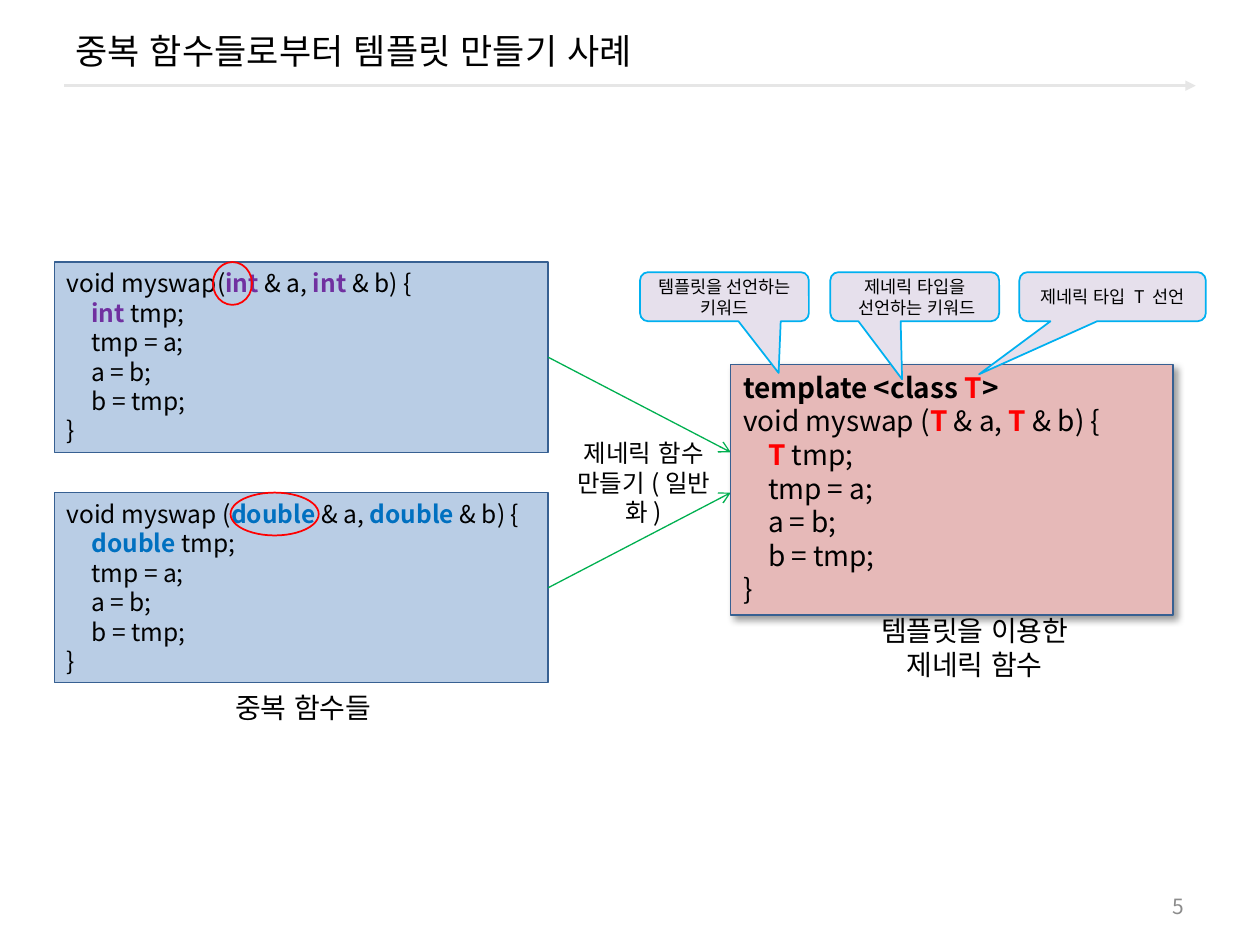
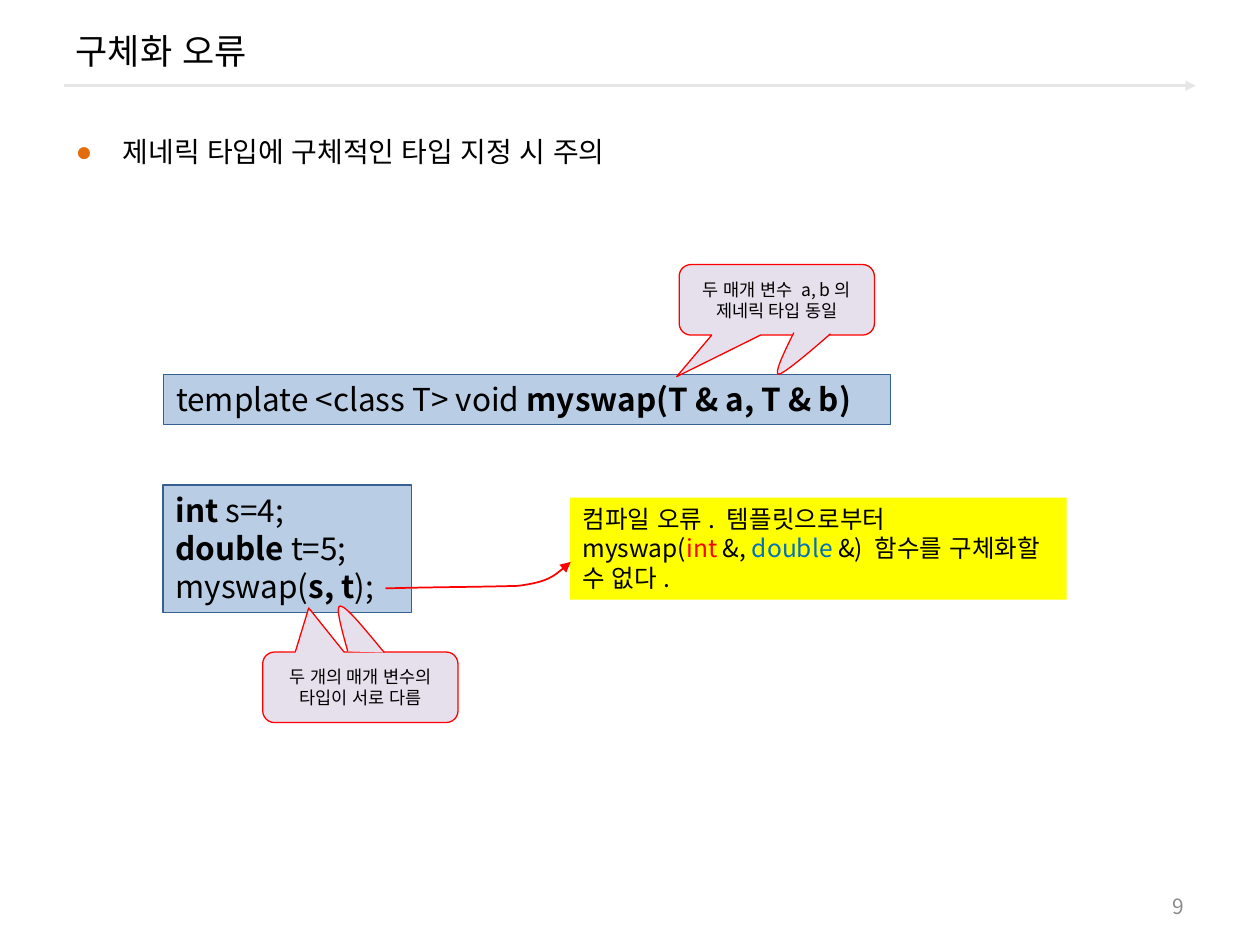
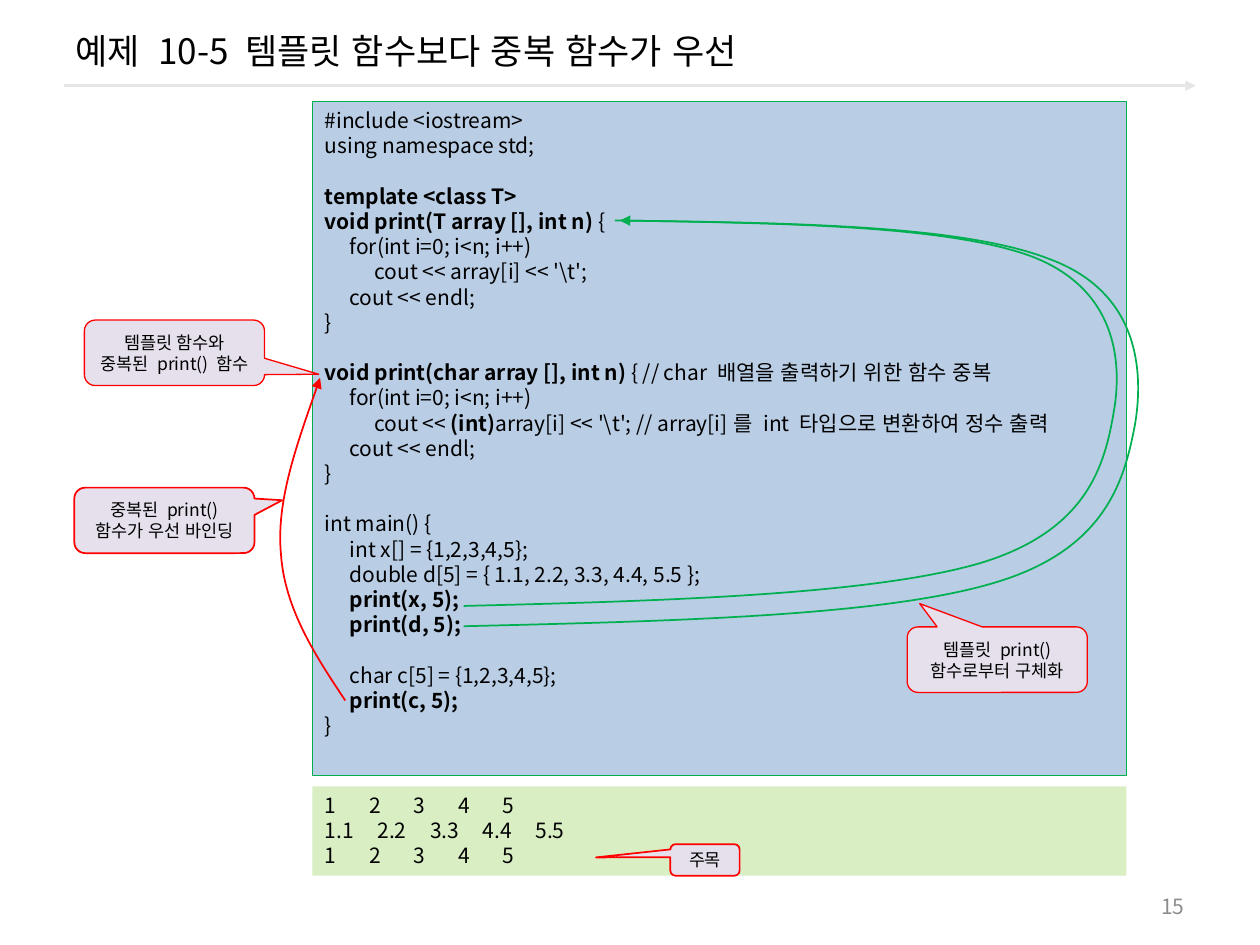
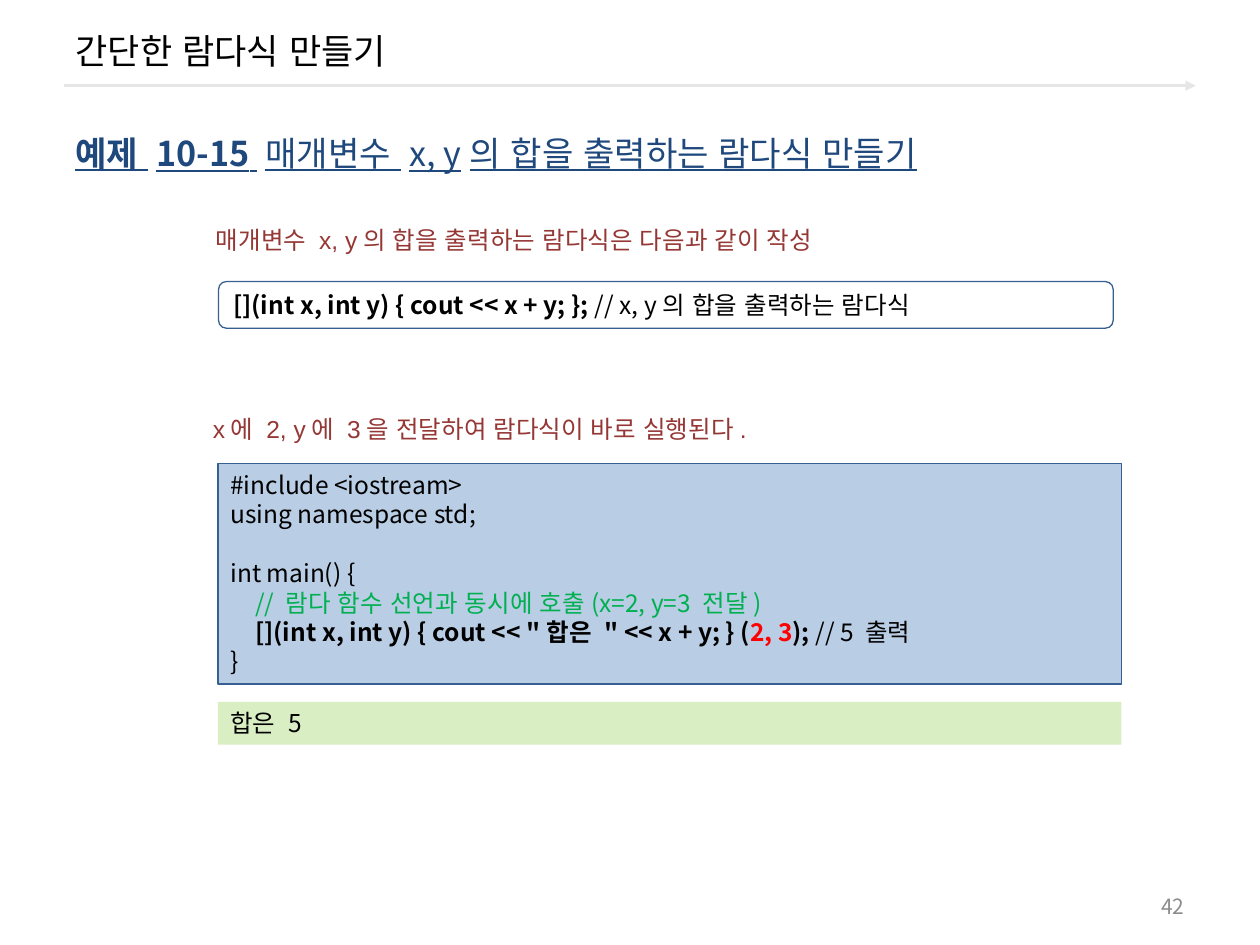
from dataclasses import dataclass

import pptx
import pptx.dml.color
import pptx.enum.shapes
import pptx.enum.text
import pptx.oxml
import pptx.oxml.ns
import pptx.util
from lxml import etree

COLUMNS, ROWS = 100, 75


@dataclass(frozen=True)
class Theme:
    font: str = "Noto Sans CJK KR"
    plain_font: str = "Arial"
    black: str = "000000"
    rule: str = "E6E6E6"
    number: str = "8C8C8C"
    bullet: str = "E46C0A"
    code: str = "B9CDE5"
    code_line: str = "376092"
    generic: str = "E6B9B8"
    callout: str = "E6E0EC"
    output: str = "DAEEC4"
    warning: str = "FFFF00"
    red: str = "FF0000"
    green: str = "00B050"
    cyan: str = "00B0F0"
    blue: str = "0070C0"
    purple: str = "7030A0"
    navy: str = "1F497D"
    brown: str = "953735"
    title_size: float = 20
    heading_size: float = 19.5
    large: float = 18
    label: float = 16
    normal: float = 14
    small: float = 12
    tiny: float = 10
    line_height: float = 1.2
    thin: float = 0.75
    medium: float = 1
    thick: float = 1.5


THEME = Theme()

RUN_STYLES = {
    "plain": {},
    "bold": {"bold": True},
    "red": {"color": THEME.red},
    "blue": {"color": THEME.blue},
    "green": {"color": THEME.green},
    "red bold": {"color": THEME.red, "bold": True},
    "blue bold": {"color": THEME.blue, "bold": True},
    "purple bold": {"color": THEME.purple, "bold": True},
    "underline": {"underline": True},
    "bold underline": {"bold": True, "underline": True},
}

DEFAULT_LOOK = {
    "shape": "RECTANGLE", "fill": None, "line": None, "weight": THEME.thin,
    "size": THEME.normal, "color": THEME.black, "font": THEME.font,
    "align": "LEFT", "anchor": "TOP", "tabs": [(1.97, 3.94)], "text": [],
    "tip": None, "shadow": False, "arrow": None,
}
LOOKS = {
    "code": {"fill": THEME.code, "line": THEME.code_line},
    "generic": {"fill": THEME.generic, "line": THEME.code_line,
                "size": THEME.label, "shadow": True},
    "expression": {"shape": "ROUNDED_RECTANGLE", "line": THEME.code_line},
    "output": {"fill": THEME.output},
    "warning": {"fill": THEME.warning},
    "callout": {"shape": "ROUNDED_RECTANGULAR_CALLOUT", "fill": THEME.callout,
                "line": THEME.red, "size": THEME.tiny,
                "align": "CENTER", "anchor": "MIDDLE"},
    "ring": {"shape": "OVAL", "line": THEME.red, "weight": THEME.medium},
    "label": {"shape": None, "size": THEME.label, "align": "CENTER"},
    "remark": {"shape": None, "color": THEME.brown, "font": THEME.plain_font},
    "heading": {"shape": None, "size": THEME.heading_size,
                "color": THEME.navy, "anchor": "MIDDLE"},
    "number": {"shape": None, "size": THEME.small, "color": THEME.number,
               "align": "RIGHT", "anchor": "MIDDLE"},
    "title": {"size": THEME.title_size, "anchor": "MIDDLE"},
    "body": {"size": THEME.label, "font": THEME.plain_font},
    "rule": {"line": THEME.rule, "weight": THEME.thick, "arrow": "triangle"},
    "link": {"line": THEME.green, "arrow": "arrow"},
    "tail": {"fill": THEME.callout, "line": THEME.red},
    "curve": {"line": THEME.red, "weight": THEME.medium, "arrow": "triangle"},
}

TITLE_BOX = (5, 0.8, 90, 6.4)
BODY_BOX = (5, 10.2, 90, 60.2)
NUMBER_BOX = (71.7, 70.3, 23.3, 3.2)
RULE = {"kind": "rule", "start": (5.1, 6.8), "end": (94.9, 6.8)}
BULLET_INDENT = 3.75


def swap_code(type_name, style, opening):
    return [
        [opening, (type_name, style), " & a, ", (type_name, style), " & b) {"],
        ["\t", (f"{type_name} ", style), "tmp;"],
        "\ttmp = a;", "\ta = b;", "\tb = tmp;", "}",
    ]


SWAP_LEFT, SWAP_TOP, SWAP_WIDTH, SWAP_HEIGHT, SWAP_STEP = 4.3, 20.8, 39.2, 15.1, 18.3
SWAP_BOXES = [(SWAP_LEFT, SWAP_TOP + SWAP_STEP * row, SWAP_WIDTH, SWAP_HEIGHT)
              for row in range(2)]

TEMPLATE_SLIDE = {
    "title": "중복 함수들로부터 템플릿 만들기 사례",
    "number": "5",
    "items": [
        {"kind": "code", "name": "double swap", "box": SWAP_BOXES[1],
         "text": swap_code("double", "blue bold", "void myswap (")},
        {"kind": "code", "name": "int swap", "box": SWAP_BOXES[0],
         "text": swap_code("int", "purple bold", "void myswap(")},
        {"kind": "link", "source": "int swap", "end": (58, 35.9)},
        {"kind": "link", "source": "double swap", "end": (58, 39.1)},
        {"kind": "generic", "box": (58, 28.9, 35.1, 19.9),
         "text": [[("template <class ", "bold"), ("T", "red bold"), (">", "bold")]]
         + swap_code("T", "red bold", "void myswap (")},
        {"kind": "label", "box": (68.1, 48.2, 18.5, 6.4),
         "text": ["템플릿을 이용한", "제네릭 함수"]},
        {"kind": "label", "box": (17.7, 54.3, 14, 3.7), "align": "LEFT",
         "text": ["중복 함수들"]},
        {"kind": "label", "box": (43.6, 34.3, 15, 5.7), "size": THEME.normal,
         "text": ["제네릭 함수", "만들기(일반화)"]},
        {"kind": "callout", "box": (50.8, 21.6, 13.4, 3.9), "tip": (61.8, 29.6),
         "line": THEME.cyan, "weight": THEME.medium,
         "text": ["템플릿을 선언하는 키워드"]},
        {"kind": "callout", "box": (65.9, 21.6, 13.4, 3.9), "tip": (71.6, 30.1),
         "line": THEME.cyan, "weight": THEME.medium,
         "text": ["제네릭 타입을", " 선언하는 키워드"]},
        {"kind": "callout", "box": (80.9, 21.6, 14.8, 3.9), "tip": (77.7, 29.7),
         "line": THEME.cyan, "weight": THEME.medium,
         "text": ["제네릭 타입 T 선언"]},
        {"kind": "ring", "box": (16.9, SWAP_BOXES[0][1], 3.1, 3.4)},
        {"kind": "ring", "box": (18.3, SWAP_BOXES[1][1], 7, 3.4)},
    ],
}

ERROR_SLIDE = {
    "title": "구체화 오류",
    "number": "9",
    "body": ["제네릭 타입에 구체적인 타입 지정 시 주의"],
    "items": [
        {"kind": "code", "box": (13, 29.7, 57.7, 4), "size": THEME.large,
         "text": [["template <class T> void ", ("myswap(T & a, T & b)", "bold")]]},
        {"kind": "code", "box": (12.95, 38.5, 19.7, 10.1), "size": THEME.large,
         "text": [[("int", "bold"), " s=4;"], [("double", "bold"), " t=5;"],
                  ["myswap(", ("s, t", "bold"), ");"]]},
        {"kind": "warning", "box": (45.25, 39.5, 39.4, 8.1),
         "text": ["컴파일 오류. 템플릿으로부터",
                  ["myswap(", ("int", "red"), " &, ", ("double", "blue"),
                   " &) 함수를 구체화할 수 없다."]]},
        {"kind": "callout", "box": (53.9, 21, 15.5, 5.6), "tip": (53.7, 29.9),
         "text": ["두 매개 변수 a, b의 제네릭 타입 동일"]},
        {"kind": "callout", "box": (20.85, 51.75, 15.5, 5.6), "tip": (24.5, 48.25),
         "text": ["두 개의 매개 변수의 타입이 서로 다름"]},
        {"kind": "tail", "points": [(63, 26.4), (62.2, 28), (61.4, 29.7), (61.8, 29.7),
                                    (62.3, 29.7), (65.9, 26.5), (65.9, 26.5)]},
        {"kind": "tail", "points": [(27.6, 51.7), (27.1, 49.9), (26.6, 48.1), (27, 48.1),
                                    (27.5, 48.1), (29, 50), (30.5, 51.8)]},
        {"kind": "curve", "points": [(30.6, 46.7), (34.1, 46.6), (37.6, 46.6), (41.1, 46.5),
                                     (43.5, 46.2), (44.4, 45.4), (45.3, 44.6)]},
    ],
}

PRINT_LOOP = "\tfor(int i=0; i<n; i++)"
INTEGER_ROW = "1\t2\t3\t4\t5"

PRINT_SLIDE = {
    "title": "예제 10-5 템플릿 함수보다 중복 함수가 우선",
    "number": "15",
    "items": [
        {"kind": "code", "box": (24.8, 8.05, 64.6, 53.5), "size": THEME.small,
         "line": THEME.green,
         "text": [
             "#include <iostream>",
             "using namespace std;",
             "",
             [("template <class T>", "bold")],
             [("void print(T array [], int n) ", "bold"), "{"],
             PRINT_LOOP,
             "\t\tcout << array[i] << '\\t';",
             "\tcout << endl;",
             "}",
             "",
             [("void print(char array [], int n) ", "bold"),
              "{ // char 배열을 출력하기 위한 함수 중복"],
             PRINT_LOOP,
             ["\t\tcout << ", ("(int)", "bold"),
              "array[i] << '\\t'; // array[i]를 int 타입으로 변환하여 정수 출력"],
             "\tcout << endl;",
             "}",
             "",
             "int main() {",
             "\tint x[] = {1,2,3,4,5};",
             "\tdouble d[5] = { 1.1, 2.2, 3.3, 4.4, 5.5 };",
             ["\t", ("print(x, 5);", "bold")],
             [("\tprint(d, 5);", "bold")],
             "",
             "\tchar c[5] = {1,2,3,4,5};",
             ["\t", ("print(c, 5);", "bold")],
             "}",
         ]},
        {"kind": "curve", "points": [(27.4, 55.6), (25, 52), (22.6, 48.3), (22.3, 44),
                                     (21.9, 39.8), (23.7, 34.9), (25.4, 30)]},
        {"kind": "callout", "box": (6.7, 25.4, 14.3, 5.2), "tip": (25.3, 29.7),
         "text": ["템플릿 함수와", "중복된 print() 함수"]},
        {"kind": "callout", "box": (5.9, 38.7, 14.3, 5.2), "tip": (22.4, 39.7),
         "weight": THEME.medium, "text": ["중복된 print() 함수가 우선 바인딩"]},
        {"kind": "output", "box": (24.8, 62.4, 64.6, 7.1), "size": THEME.small,
         "tabs": [[step * count for count in range(1, 5)] for step in (3.53, 4.18, 3.53)],
         "text": [INTEGER_ROW, "1.1\t2.2\t3.3\t4.4\t5.5", INTEGER_ROW]},
        {"kind": "callout", "box": (53.2, 67, 5.5, 2.5), "tip": (47.3, 68.05),
         "weight": THEME.medium, "text": ["주목"]},
        {"kind": "curve", "line": THEME.green, "arrow": None,
         "points": [(36.8, 48.1), (53, 47.7), (69.2, 47.2), (77.8, 44.7),
                    (86.4, 42.1), (87.7, 36.8), (88.4, 32.7),
                    (89.1, 28.7), (88.6, 23), (82, 20.4),
                    (75.4, 17.9), (62.1, 17.7), (48.8, 17.5)]},
        {"kind": "curve", "line": THEME.green,
         "points": [(36.8, 49.7), (53.5, 49.3), (70.3, 48.9), (79.1, 46.2),
                    (88, 43.5), (89.3, 37.8), (90.1, 33.6),
                    (90.8, 29.3), (90.3, 23.2), (83.4, 20.6),
                    (76.6, 17.9), (62.9, 17.7), (49.2, 17.5)]},
        {"kind": "callout", "box": (72, 49.75, 14.3, 5.2), "tip": (73, 47.9),
         "text": ["템플릿 print() 함수로부터 구체화"]},
    ],
}

LAMBDA_SLIDE = {
    "title": "간단한 람다식 만들기",
    "number": "42",
    "items": [
        {"kind": "code", "box": (17.3, 36.8, 71.7, 17.5),
         "text": [
             "#include <iostream>",
             "using namespace std;",
             "",
             "int main() {",
             ["\t", ("// 람다 함수 선언과 동시에 호출(x=2, y=3 전달)", "green")],
             ["\t", ('[](int x, int y) { cout << "합은 " << x + y; } (', "bold"),
              ("2, 3", "red bold"), ("); ", "bold"), "// 5 출력"],
             "}",
         ]},
        {"kind": "expression", "box": (17.35, 22.35, 71, 3.7),
         "text": [[("[](int x, int y) { cout << x + y; }; ", "bold"),
                   "// x, y의 합을 출력하는 람다식"]]},
        {"kind": "remark", "box": (16.15, 17.4, 60.3, 3.4),
         "text": ["매개변수 x, y의 합을 출력하는 람다식은 다음과 같이 작성"]},
        {"kind": "remark", "box": (15.9, 32.4, 60.5, 3.4),
         "text": ["x에 2, y에 3을 전달하여 람다식이 바로 실행된다."]},
        {"kind": "output", "box": (17.3, 55.7, 71.7, 3.4), "text": ["합은 5"]},
        {"kind": "heading", "box": (5, 8.4, 89.2, 7.4),
         "text": [[("예제", "bold underline"), (" ", "underline"),
                   ("10-15", "bold underline"),
                   (" 매개변수 x, y의 합을 출력하는 람다식 만들기", "underline")]]},
    ],
}

SLIDES = [TEMPLATE_SLIDE, ERROR_SLIDE, PRINT_SLIDE, LAMBDA_SLIDE]

SLIDE_WIDTH, SLIDE_HEIGHT = pptx.util.Inches(10), pptx.util.Inches(7.5)


def across(columns):
    return round(SLIDE_WIDTH * columns / COLUMNS)


def down(rows):
    return round(SLIDE_HEIGHT * rows / ROWS)


def place(box):
    left, top, width, height = box
    return across(left), down(top), across(width), down(height)


def rgb(color):
    return pptx.dml.color.RGBColor.from_string(color)


def add_xml(parent, tag, **attributes):
    return etree.SubElement(parent, pptx.oxml.ns.qn(tag), attributes)


def write_run(paragraph, text, look, color=None, bold=False, underline=False):
    run = paragraph.add_run()
    run.text = text
    run.font.size = pptx.util.Pt(look["size"])
    run.font.bold = bold
    if underline:
        run.font.underline = True
    run.font.color.rgb = rgb(color or look["color"])
    run.font.name = look["font"]
    add_xml(run.font._element, "a:ea", typeface=THEME.plain_font)


def write_text(frame, look):
    frame.word_wrap = True
    frame.vertical_anchor = getattr(pptx.enum.text.MSO_ANCHOR, look["anchor"])
    used, gap = 0, 0
    for line in look["text"]:
        if not line:
            gap += look["size"] * THEME.line_height
            continue
        paragraph = frame.add_paragraph() if used else frame.paragraphs[0]
        paragraph.alignment = getattr(pptx.enum.text.PP_ALIGN, look["align"])
        if gap:
            paragraph.space_before = pptx.util.Pt(gap)
        runs = [line] if isinstance(line, str) else line
        for run in runs:
            text, style = (run, "plain") if isinstance(run, str) else run
            write_run(paragraph, text, look, **RUN_STYLES[style])
        if any("\t" in run.text for run in paragraph.runs):
            stops = add_xml(paragraph._p.get_or_add_pPr(), "a:tabLst")
            for stop in look["tabs"][used % len(look["tabs"])]:
                add_xml(stops, "a:tab", pos=str(across(stop)), algn="l")
        used, gap = used + 1, 0


def paint_line(shape, look):
    shape.line.color.rgb = rgb(look["line"])
    shape.line.width = pptx.util.Pt(look["weight"])
    if look["arrow"]:
        outline = shape._element.spPr.find(pptx.oxml.ns.qn("a:ln"))
        add_xml(outline, "a:tailEnd", type=look["arrow"])


def paint_shape(shape, look):
    shape.shadow.inherit = False
    if look["fill"]:
        shape.fill.solid()
        shape.fill.fore_color.rgb = rgb(look["fill"])
    else:
        shape.fill.background()
    if look["line"]:
        paint_line(shape, look)
    else:
        shape.line.fill.background()
    if look["shadow"]:
        effects = shape._element.spPr.find(pptx.oxml.ns.qn("a:effectLst"))
        shadow = add_xml(effects, "a:outerShdw", blurRad=str(pptx.util.Pt(4)),
                         dist=str(pptx.util.Pt(3)), dir="2700000",
                         algn="tl", rotWithShape="0")
        color = add_xml(shadow, "a:srgbClr", val=THEME.black)
        add_xml(color, "a:alpha", val="40000")


def draw_box(slide, look):
    if look["shape"] is None:
        shape = slide.shapes.add_textbox(*place(look["box"]))
    else:
        preset = getattr(pptx.enum.shapes.MSO_SHAPE, look["shape"])
        shape = slide.shapes.add_shape(preset, *place(look["box"]))
        paint_shape(shape, look)
    if look["tip"]:
        left, top, width, height = look["box"]
        tip_column, tip_row = look["tip"]
        shape.adjustments[0] = (tip_column - left) / width - 0.5
        shape.adjustments[1] = (tip_row - top) / height - 0.5
    if look["text"]:
        write_text(shape.text_frame, look)
    return shape


def draw_connector(slide, look, source=None):
    start, end = look.get("start", (0, 0)), look["end"]
    connector = slide.shapes.add_connector(
        pptx.enum.shapes.MSO_CONNECTOR.STRAIGHT,
        across(start[0]), down(start[1]), across(end[0]), down(end[1]))
    if source is not None:
        connector.begin_connect(source, 3)
    paint_line(connector, look)
    add_xml(connector._element.spPr, "a:effectLst")
    return connector


def bend_segments(shape):
    contour = next(shape._element.iter(pptx.oxml.ns.qn("a:path")))
    segments = contour.findall(pptx.oxml.ns.qn("a:lnTo"))
    for index, segment in enumerate(segments):
        if index % 3 == 0:
            bend = add_xml(contour, "a:cubicBezTo")
        bend.append(segment[0])
        contour.remove(segment)


def draw_curve(slide, look):
    points = [(across(column), down(row)) for column, row in look["points"]]
    builder = slide.shapes.build_freeform(*points[0])
    builder.add_line_segments(points[1:], close=False)
    shape = builder.convert_to_shape()
    bend_segments(shape)
    paint_shape(shape, look)
    return shape


def style(item):
    return {**DEFAULT_LOOK, **LOOKS[item["kind"]], **item}


def fill_placeholder(shape, box, item):
    shape.left, shape.top, shape.width, shape.height = place(box)
    write_text(shape.text_frame, style(item))


def add_bullets(frame):
    for paragraph in frame.paragraphs:
        properties = paragraph._p.get_or_add_pPr()
        properties.set("marL", str(across(BULLET_INDENT)))
        properties.set("indent", str(-across(BULLET_INDENT)))
        add_xml(add_xml(properties, "a:buClr"), "a:srgbClr", val=THEME.bullet)
        add_xml(properties, "a:buFont", typeface=THEME.plain_font)
        add_xml(properties, "a:buChar", char="●")


def build_slide(presentation, content):
    layout = presentation.slide_layouts[1 if "body" in content else 5]
    slide = presentation.slides.add_slide(layout)
    fill_placeholder(slide.shapes.title, TITLE_BOX,
                     {"kind": "title", "text": [content["title"]]})
    if "body" in content:
        body = slide.placeholders[1]
        fill_placeholder(body, BODY_BOX, {"kind": "body", "text": content["body"]})
        add_bullets(body.text_frame)
    number = {"kind": "number", "box": NUMBER_BOX, "text": [content["number"]]}
    named = {}
    for item in [RULE, number] + content["items"]:
        look = style(item)
        if "points" in look:
            draw_curve(slide, look)
        elif "end" in look:
            draw_connector(slide, look, named.get(look.get("source")))
        else:
            shape = draw_box(slide, look)
            if "name" in look:
                named[look["name"]] = shape


def main():
    presentation = pptx.Presentation()
    presentation.slide_width, presentation.slide_height = SLIDE_WIDTH, SLIDE_HEIGHT
    for content in SLIDES:
        build_slide(presentation, content)
    presentation.save("out.pptx")


if __name__ == "__main__":
    main()
